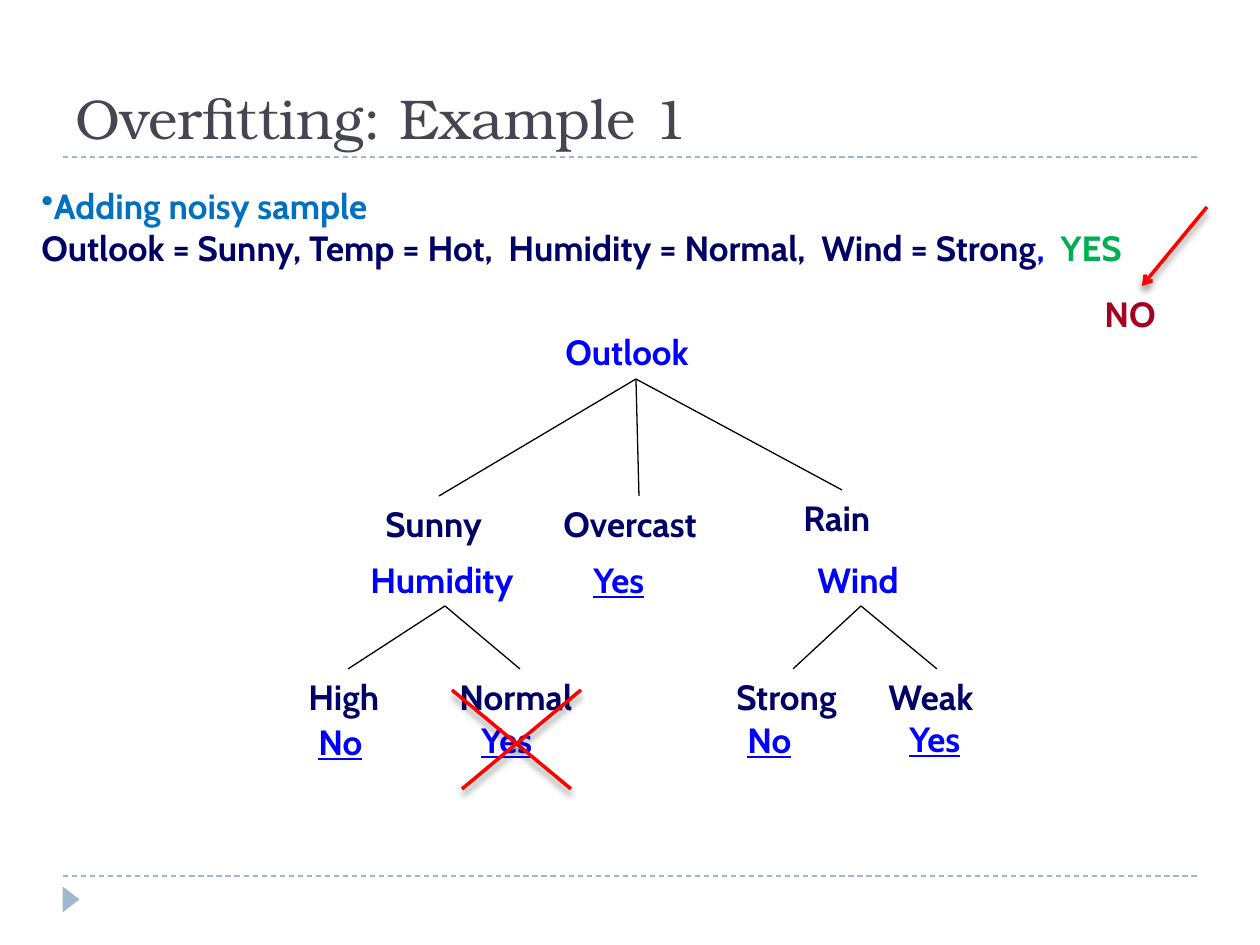
"""Build the slide on overfitting: a decision tree with a noisy sample."""
from lxml import etree
from pptx import Presentation
from pptx import util as u
from pptx.dml.color import RGBColor
from pptx.enum import dml, shapes, text
from pptx.oxml import parse_xml
from pptx.oxml.ns import nsdecls, qn

PX = 914400 // 126
HUES = {"title": "464653", "rule": "9FB8CD", "node": "0000FF", "edge": "000066",
        "head": "0070C0", "yes": "00B050", "no": "A50021", "mark": "FF0000",
        "line": "000000"}


def write(para, words, hue="edge", size=20, face="Cabin", bold=True, under=None):
    """Add a run of text to a paragraph."""
    run = para.add_run()
    run.text = words
    font = run.font
    font.size, font.name, font.bold, font.underline = u.Pt(size), face, bold, under
    font.color.rgb = RGBColor.from_string(HUES[hue])


def draw(home, ends, hue="line", width=0.75, shade=False):
    """Add a straight line, with a soft shadow on request."""
    line = home.add_connector(shapes.MSO_CONNECTOR.STRAIGHT, *[n * PX for n in ends])
    line.line.width = u.Pt(width)
    line.line.color.rgb = RGBColor.from_string(HUES[hue])
    glow = ('<a:outerShdw blurRad="50800" dist="43000" dir="5400000" rotWithShape="0">'
            '<a:srgbClr val="000000"><a:alpha val="40000"/></a:srgbClr>'
            '</a:outerShdw>') if shade else ""
    line._element.spPr.append(
        parse_xml(f'<a:effectLst {nsdecls("a")}>{glow}</a:effectLst>'))
    return line


deck = Presentation()
deck.slide_width, deck.slide_height = u.Inches(10), u.Inches(7.5)
slide = deck.slides.add_slide(deck.slide_layouts[5])
tree = slide.shapes

for y in (876, 157):
    rule = draw(tree, (63, y, 1197, y), "rule")
    rule.line.dash_style = dml.MSO_LINE.DASH

wedge = tree.add_shape(shapes.MSO_SHAPE.ISOSCELES_TRIANGLE,
                       58 * PX, 891 * PX, 26 * PX, 17 * PX)
wedge.rotation = 90
wedge.shadow.inherit = False
wedge.fill.solid()
wedge.fill.fore_color.rgb = RGBColor.from_string(HUES["rule"])
wedge.line.fill.background()

title = tree.title
title.left, title.top, title.width, title.height = [n * PX for n in (63, 21, 1134, 136)]
frame = title.text_frame
frame.auto_size = text.MSO_AUTO_SIZE.NONE
frame.vertical_anchor = text.MSO_ANCHOR.BOTTOM
frame.paragraphs[0].alignment = text.PP_ALIGN.LEFT
write(frame.paragraphs[0], "Overfitting: Example 1", "title", 32, "TeX Gyre Bonum", False)

root, damp, wind = (636, 379), (445, 606), (861, 606)
for start, end in [(root, (842, 490)), (root, (639, 496)), (root, (439, 496)),
                   (damp, (520, 669)), (damp, (348, 669)),
                   (wind, (937, 669)), (wind, (793, 669))]:
    draw(tree, start + end)

note, cross = tree.add_group_shape().shapes, tree.add_group_shape().shapes
sample = [[("Adding noisy sample", "head")],
          [("Outlook = Sunny, Temp = Hot,  Humidity = Normal,  Wind = Strong", "edge"),
           (",  ", "node"), ("YES", "yes")]]
labels = [("Outlook ", "node", 553, 324, 168), ("Overcast", "edge", 551, 496, 175),
          ("Rain", "edge", 791, 490, 101), ("Sunny", "edge", 373, 496, 132),
          ("Humidity", "node", 358, 552, 175), ("Wind", "node", 805, 552, 111),
          ("Normal", "edge", 447, 669, 146), ("High", "edge", 296, 669, 103),
          ("Weak", "edge", 876, 669, 121), ("Strong", "edge", 724, 669, 137),
          ("Yes", "node", 581, 552, 88), ("No", "node", 306, 714, 72),
          ("Yes", "node", 469, 712, 88), ("No", "node", 735, 712, 72),
          ("Yes", "node", 897, 711, 88), ("NO", "no", 1092, 286, 86)]
boxes = [([[(words, hue)]], x, y, w, 54) for words, hue, x, y, w in labels]
for paras, x, y, w, h in boxes + [(sample, 29, 178, 1211, 97)]:
    home = note if paras[0][0][1] == "no" else tree
    frame = home.add_textbox(x * PX, y * PX, w * PX, h * PX).text_frame
    frame.word_wrap = False
    frame.auto_size = text.MSO_AUTO_SIZE.SHAPE_TO_FIT_TEXT
    for i, runs in enumerate(paras):
        para = frame.add_paragraph() if i else frame.paragraphs[0]
        for words, hue in runs:
            write(para, words, hue, under=words in ("Yes", "No"))
        if hue == "head":
            etree.SubElement(para._p.get_or_add_pPr(), qn("a:buChar")).set("char", "•")

arrow = draw(note, (1207, 207, 1142, 286), "mark", 2, True)
etree.SubElement(arrow.line._get_or_add_ln(), qn("a:tailEnd")).set("type", "arrow")
for ends in [(452, 690, 571, 789), (462, 789, 581, 690)]:
    draw(cross, ends, "mark", 2, True)

for item in (note, cross):
    tree._spTree.append(item._spTree if hasattr(item, "_spTree") else item._grpSp)

deck.save("out.pptx")
